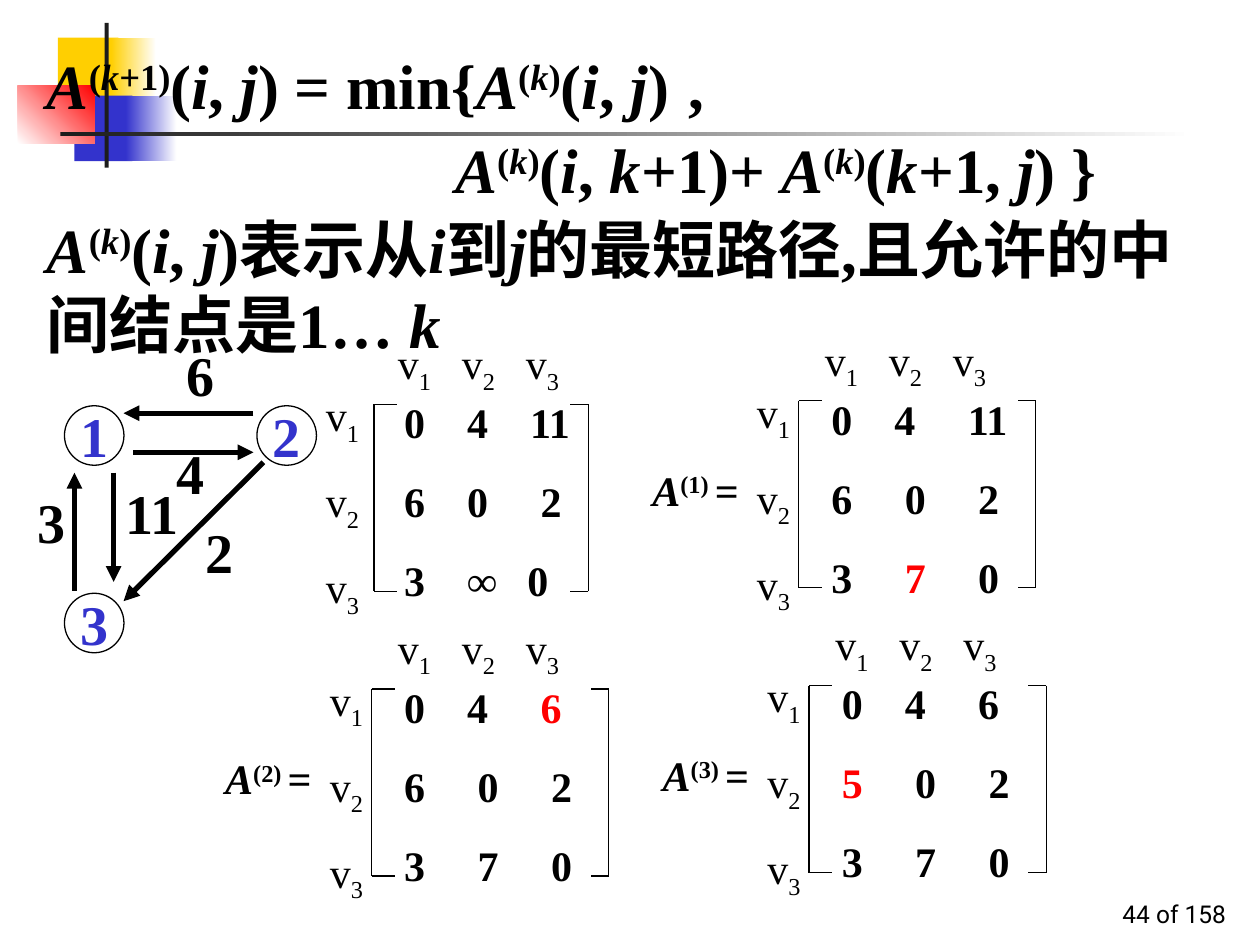
"""Build the slide on shortest paths with distance matrices."""
from dataclasses import dataclass

from lxml import etree
from pptx import Presentation
from pptx.dml.color import RGBColor
from pptx.enum.shapes import MSO_CONNECTOR, MSO_SHAPE
from pptx.enum.text import MSO_ANCHOR, MSO_AUTO_SIZE, PP_ALIGN
from pptx.oxml.ns import qn
from pptx.util import Cm, Pt

LINE = MSO_CONNECTOR.STRAIGHT
RECT, OVAL = MSO_SHAPE.RECTANGLE, MSO_SHAPE.OVAL
TOP, MID, LOW = MSO_ANCHOR.TOP, MSO_ANCHOR.MIDDLE, MSO_ANCHOR.BOTTOM
LEFT, MIDST, RIGHT = PP_ALIGN.LEFT, PP_ALIGN.CENTER, PP_ALIGN.RIGHT
FIXED = MSO_AUTO_SIZE.NONE


@dataclass(frozen=True)
class Theme:
    """Hold the colours, fonts and type sizes."""
    ink: str = "000000"
    dark: str = "1C1C1C"
    white: str = "FFFFFF"
    gold: str = "FFCF01"
    blue: str = "3333CC"
    red: str = "FF0000"
    serif: str = "Times New Roman"
    sans: str = "Roboto"
    head: int = 36
    wide: int = 44
    node: int = 32
    cell: int = 24
    page: int = 14


T = Theme()
HEAD = {"name": T.serif, "size": Pt(T.head), "bold": True}
NODE = {"name": T.serif, "size": Pt(T.node), "bold": True}
CELL = {"name": T.serif, "size": Pt(T.cell), "bold": True}
AXIS = {"name": T.serif, "size": Pt(T.cell), "bold": False}
PAGE = {"name": T.sans, "size": Pt(T.page), "bold": False}
BASE = {"u": "30000", "d": "-25000"}
GAP = 16.4
NEAR, FAR = (1.27, 2.75), (1.48, 2.96)


def rgb(code):
    """Turn a hex code into a colour."""
    return RGBColor.from_string(code)


def write(para, runs, fmt, color=T.ink):
    """Add runs marked i italic, u raised, d lowered, r red, w wide."""
    for text, marks in runs:
        run = para.add_run()
        run.text = text
        form = {**fmt, "italic": "i" in marks}
        if "w" in marks:
            form["size"] = Pt(T.wide)
        for key, value in form.items():
            setattr(run.font, key, value)
        run.font.color.rgb = rgb(T.red if "r" in marks else color)
        for mark in set(marks) & set(BASE):
            run.font._element.set("baseline", BASE[mark])


def tabs(para, stops):
    """Give a paragraph left tab stops."""
    if stops:
        group = etree.SubElement(para._p.get_or_add_pPr(), qn("a:tabLst"))
        for stop in stops:
            etree.SubElement(group, qn("a:tab"), pos=str(Cm(stop)), algn="l")


def fill_text(shape, lines, fmt, stops=(), gap=0, anchor=TOP, align=LEFT,
              color=T.ink):
    """Write one paragraph per line into a shape."""
    frame = shape.text_frame
    form = {"word_wrap": True, "auto_size": FIXED, "vertical_anchor": anchor}
    for key, value in form.items():
        setattr(frame, key, value)
    for num, runs in enumerate(lines):
        para = frame.add_paragraph() if num else frame.paragraphs[0]
        para.alignment = align
        para.space_before = Pt(gap if num else 0)
        tabs(para, stops[num] if stops else ())
        write(para, runs, fmt, color)
    return frame


def label(slide, box, lines, fmt, **more):
    """Add a text box."""
    shape = slide.shapes.add_textbox(*map(Cm, box))
    return fill_text(shape, lines, fmt, **more)


def hold(slide, shape, box, lines, indents=(0,), gap=0):
    """Move a placeholder to the front and fill it."""
    for key, value in zip(("left", "top", "width", "height"), box):
        setattr(shape, key, Cm(value))
    slide.shapes._spTree.append(shape._element)
    frame = fill_text(shape, lines, HEAD, gap=gap)
    for para, dent in zip(frame.paragraphs, indents):
        props = para._p.get_or_add_pPr()
        props.set("marL", str(Cm(dent)))
        props.set("indent", "0")
        etree.SubElement(props, qn("a:buNone"))


def block(slide, box, *colors, angle=0):
    """Add a plain or graded rectangle."""
    shape = slide.shapes.add_shape(RECT, *map(Cm, box))
    shape.shadow.inherit = False
    shape.line.fill.background()
    if len(colors) == 1:
        shape.fill.solid()
        shape.fill.fore_color.rgb = rgb(colors[0])
        return
    shape.fill.gradient()
    shape.fill.gradient_angle = angle
    for num, (stop, color) in enumerate(zip(shape.fill.gradient_stops, colors)):
        stop.position = num
        stop.color.rgb = rgb(color)


def stroke(slide, ends, width=0.75, arrow=False):
    """Add a straight line, with an arrowhead if asked."""
    line = slide.shapes.add_connector(LINE, *map(Cm, ends))
    line.line.color.rgb = rgb(T.ink)
    line.line.width = Pt(width)
    if arrow:
        etree.SubElement(line.line._get_or_add_ln(), qn("a:tailEnd"),
                         type="triangle")
    etree.SubElement(line._element.spPr, qn("a:effectLst"))


def node(slide, left, top, text):
    """Add a numbered graph node."""
    shape = slide.shapes.add_shape(OVAL, *map(Cm, (left, top, 1.2, 1.2)))
    shape.shadow.inherit = False
    shape.fill.background()
    shape.line.color.rgb = rgb(T.ink)
    shape.line.width = Pt(0.75)
    frame = fill_text(shape, [[(text, "")]], NODE, anchor=MID, align=MIDST,
                      color=T.blue)
    for side in ("left", "right", "top", "bottom"):
        setattr(frame, f"margin_{side}", 0)
    frame.word_wrap = False


def matrix(slide, left, top, rows, stops, name="", width=4.78, side=1.09,
           inset=0.41):
    """Add a bracketed matrix with its row, column and power labels."""
    low, right = top + 3.77, left + width
    for edge, tick in ((left, 0.47), (right, -0.36)):
        stroke(slide, (edge, top, edge, low))
        for level in (top, low):
            stroke(slide, (edge, level, edge + tick, level))
    axis = [[("v", ""), (num, "d")] for num in "123"]
    label(slide, (left - side, top - 0.42, 1.7, 4.78), axis, AXIS, gap=GAP)
    heads = axis[0] + [("\t", "")] + axis[1] + [("\t", "")] + axis[2]
    label(slide, (left + inset - 0.13, top - 1.47, 5.92, 1.42), [heads], AXIS,
          stops=[(1.29, 2.58)])
    cells = [[(("\t" if num else "") + cell.strip("*"), "r" * ("*" in cell))
              for num, cell in enumerate(row.split())] for row in rows]
    label(slide, (left + inset, top - 0.28, 4.8, 4.37), cells, CELL,
          stops=stops, gap=GAP)
    if name:
        power = [("A", "i"), (f"({name}) ", "u"), ("=", "")]
        label(slide, (left - 3.2, top + 1.16, 5.21, 2.82), [power], CELL)


def power(tail=")"):
    """Return the runs of A raised to k."""
    return [("A", "i"), ("(", "u"), ("k", "iu"), (tail, "u")]


def pair(first, last, mid=", ", end=")"):
    """Return the runs of two arguments in brackets."""
    return [("(", ""), (first, "i"), (mid, ""), (last, "i"), (end, "")]


def backdrop(slide):
    """Add the coloured blocks and rules."""
    block(slide, (1.17, 0.76, 1.22, 1.32), T.gold)
    block(slide, (2.24, 0.76, 0.91, 1.32), T.gold, T.white)
    block(slide, (1.5, 1.93, 1.17, 1.32), T.blue)
    block(slide, (2.54, 1.93, 1.02, 1.32), T.blue, T.white)
    block(slide, (0.36, 1.73, 1.55, 1.17), T.white, T.red, angle=45)
    block(slide, (2.11, 0.46, 0.08, 2.92), T.dark)
    block(slide, (1.22, 2.67, 22.86, 0.08), T.dark, T.white)


def graph(slide):
    """Add the weighted graph."""
    for spot in ((1.3, 8.18, "1"), (5.18, 8.18, "2"), (1.3, 11.96, "3")):
        node(slide, *spot)
    for ends in ((5.11, 8.33, 2.49, 8.33), (2.69, 9.12, 5.11, 9.12),
                 (2.29, 9.53, 2.29, 11.73), (1.5, 11.91, 1.5, 9.53),
                 (5.31, 9.32, 2.49, 12.12)):
        stroke(slide, ends, 3, True)
    for left, top, cost in ((3.51, 6.73, "6"), (3.3, 8.71, "4"),
                            (0.51, 9.7, "3"), (2.29, 9.53, "11"),
                            (3.89, 10.31, "2")):
        label(slide, (left, top, 1.8, 1.63), [[(cost, "")]], NODE)


def main():
    """Build and save the slide."""
    deck = Presentation()
    deck.slide_width, deck.slide_height = Cm(25.4), Cm(19.05)
    slide = deck.slides.add_slide(deck.slide_layouts[1])
    title, body = slide.placeholders
    backdrop(slide)
    first = (power("+1)") + pair("i", "j", end=") = min{") + power()
             + pair("i", "j") + [(" ", "w"), (",", "")])
    second = (power() + pair("i", "k", end="+1)") + [("+ ", "")] + power()
              + pair("k", "j", "+1, ", ") }"))
    hold(slide, title, (0.69, 0.53, 23.6, 3.66), [first, second], (0, 8.23), 3)
    meaning = power() + pair("i", "j", end=")表示从") + [
        ("i", "i"), ("到", ""), ("j", "i"),
        ("的最短路径,且允许的中间结点是1… ", ""), ("k", "i")]
    hold(slide, body, (0.69, 4.11, 23.6, 3.3), [meaning])
    matrix(slide, 7.54, 8.15, ("0 4 11", "6 0 2", "3 ∞ 0"),
           ((1.27, 2.54), NEAR, (1.27, 2.48)), width=4.32, side=1.22,
           inset=0.36)
    graph(slide)
    for left, top, name, rows in (
            (16.1, 8.08, "1", ("0 4 11", "6 0 2", "3 *7 0")),
            (7.49, 13.89, "2", ("0 4 *6", "6 0 2", "3 7 0")),
            (16.31, 13.82, "3", ("0 4 6", "*5 0 2", "3 7 0"))):
        matrix(slide, left, top, rows, (NEAR, FAR, FAR), name)
    label(slide, (19.69, 17.58, 5.28, 1.27), [[("44 of 158", "")]], PAGE,
          anchor=LOW, align=RIGHT)
    deck.save("out.pptx")


if __name__ == "__main__":
    main()
